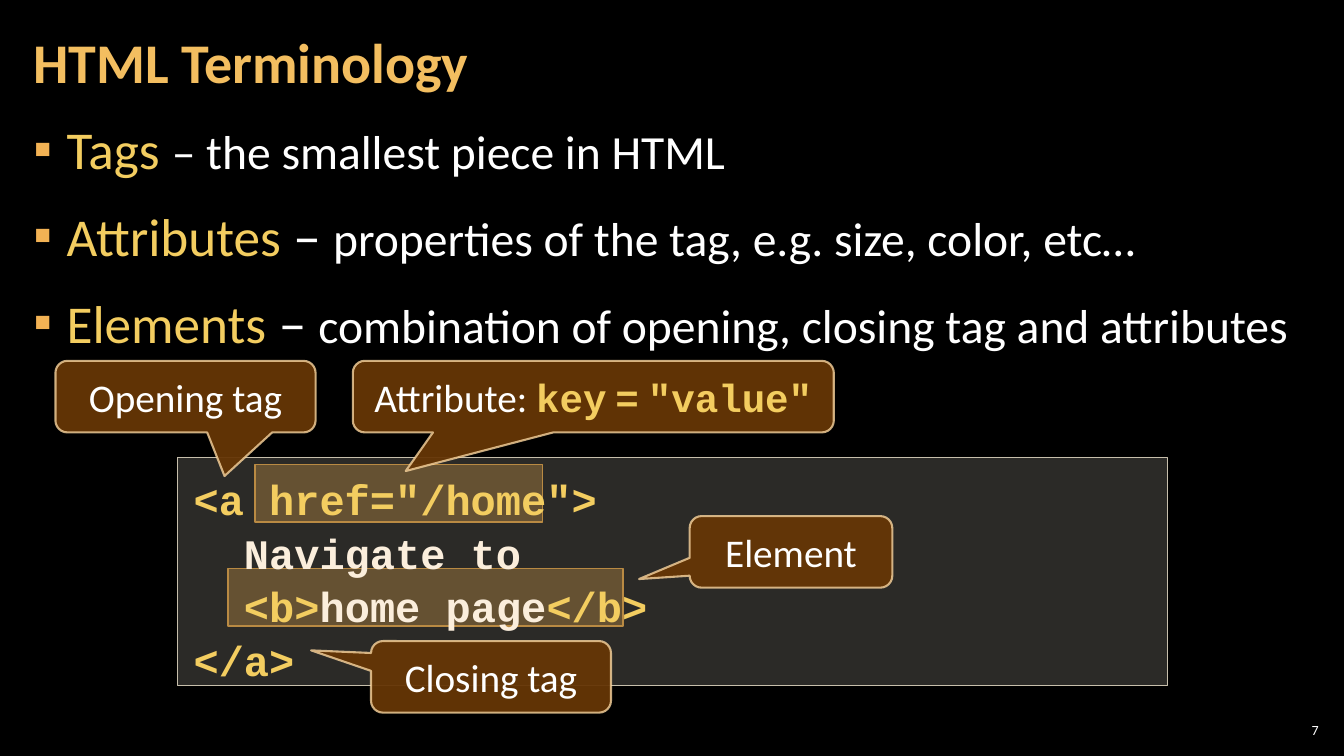
from lxml import etree
from pptx import Presentation
from pptx import util as u
from pptx.dml.color import RGBColor
from pptx.enum import shapes, text
from pptx.oxml import ns

SANS, MONO = "Calibri", "Courier New"
WHITE, GOLD, CREAM = "FFFFFF", "F3CD60", "FBEEDC"


def px(n):
    return u.Emu(n * 9144)


def rgb(value):
    return RGBColor.from_string(value)


def paint(fill, color, alpha=100):
    fill.solid()
    fill.fore_color.rgb = rgb(color)
    if alpha < 100:
        clr = fill._xPr.find(ns.qn("a:solidFill"))[0]
        etree.SubElement(clr, ns.qn("a:alpha")).set("val", str(alpha * 1000))


class Deck:
    """Holds the style and the current slide."""

    def __init__(self):
        self.prs = Presentation()
        self.prs.slide_width, self.prs.slide_height = px(1333), px(750)
        self.s = self.prs.slides.add_slide(self.prs.slide_layouts[1])
        paint(self.s.background.fill, "000000")

    def frame(self, sp, anchor, mx, my):
        tf = sp.text_frame
        tf.word_wrap = True
        tf.auto_size = text.MSO_AUTO_SIZE.NONE
        tf.vertical_anchor = anchor
        tf.margin_left = tf.margin_right = px(mx)
        tf.margin_top = tf.margin_bottom = px(my)
        return tf

    def place(self, sp, x, y, w, h):
        sp.left, sp.top, sp.width, sp.height = px(x), px(y), px(w), px(h)

    def line(self, p, runs, align=text.PP_ALIGN.LEFT, spacing=1.0):
        p.alignment, p.line_spacing = align, spacing
        for content, size, color, font, bold in runs:
            r = p.add_run()
            r.text = content
            r.font.size, r.font.name, r.font.bold = u.Pt(size), font, bold
            r.font.color.rgb = rgb(color)

    def lines(self, tf, rows, **style):
        for i, runs in enumerate(rows):
            p = tf.add_paragraph() if i else tf.paragraphs[0]
            self.line(p, runs, **style)

    def title(self, box, content):
        sp = self.s.shapes.title
        self.place(sp, *box)
        tf = self.frame(sp, text.MSO_ANCHOR.MIDDLE, 12, 4)
        self.lines(tf, [[(content, 40, "F3BE60", SANS, True)]], spacing=0.9)

    def bullets(self, box, rows):
        sp = self.s.placeholders[1]
        self.place(sp, *box)
        tf = self.frame(sp, text.MSO_ANCHOR.TOP, 12, 4)
        self.lines(tf, rows, spacing=1.05)
        for i, p in enumerate(tf.paragraphs):
            pPr = p._p.get_or_add_pPr()
            pPr.set("marL", str(px(33)))
            pPr.set("indent", str(px(-33)))
            clr = etree.SubElement(pPr, ns.qn("a:buClr"))
            etree.SubElement(clr, ns.qn("a:srgbClr")).set("val", "F2B254")
            etree.SubElement(pPr, ns.qn("a:buChar")).set("char", "▪")
            p.space_before, p.space_after = u.Pt(6 if i else 0), u.Pt(6)

    def label(self, box, runs):
        sp = self.s.shapes.add_textbox(*map(px, box))
        tf = self.frame(sp, text.MSO_ANCHOR.MIDDLE, 4, 4)
        self.lines(tf, [runs], align=text.PP_ALIGN.RIGHT)

    def shape(self, kind, box, fill, line, width=1.0):
        sp = self.s.shapes.add_shape(kind, *map(px, box))
        sp.shadow.inherit = False
        paint(sp.fill, *fill)
        paint(sp.line.fill, *line)
        sp.line.width = u.Pt(width)
        return sp

    def highlight(self, box):
        self.shape(shapes.MSO_SHAPE.RECTANGLE, box, ("F0A22E", 30), ("B27822",))

    def code(self, box, rows):
        sp = self.shape(shapes.MSO_SHAPE.RECTANGLE, box, ("D9D5C7", 20), ("C7BFAC",))
        tf = self.frame(sp, text.MSO_ANCHOR.TOP, 16, 12)
        styled = [[(t, 30, c, MONO, True) for t, c in row] for row in rows]
        self.lines(tf, styled, spacing=1.07)

    def callout(self, box, tip, runs):
        sp = self.shape(shapes.MSO_SHAPE.ROUNDED_RECTANGULAR_CALLOUT, box,
                        ("663606", 95), ("F8D49E", 80), 1.5)
        for i, value in enumerate(tip):
            sp.adjustments[i] = value
        tf = self.frame(sp, text.MSO_ANCHOR.MIDDLE, 10, 5)
        self.lines(tf, [runs], align=text.PP_ALIGN.CENTER)


def term(name, meaning):
    return [(name + " ", 38, GOLD, SANS, False), ("–", 40, WHITE, SANS, False),
            (" ", 38, GOLD, SANS, False), (meaning, 34, WHITE, SANS, False)]


def plain(content):
    return (content, 28, WHITE, SANS, False)


def key(content, font=MONO):
    return (content, 28, GOLD, font, True)


def main():
    d = Deck()
    d.title((21, 4, 1047, 121), "HTML Terminology")
    d.bullets((21, 108, 1291, 617), [
        [("Tags ", 38, GOLD, SANS, False),
         ("– the smallest piece in HTML", 34, WHITE, SANS, False)],
        term("Attributes", "properties of the tag, e.g. size, color, etc…"),
        term("Elements", "combination of opening, closing tag and attributes"),
    ])
    d.label((1265, 714, 47, 21), [("7", 10, WHITE, SANS, False)])
    d.highlight((253, 461, 285, 57))
    d.highlight((226, 564, 392, 57))
    d.code((176, 454, 982, 226), [
        [('<a href="/home">', GOLD)],
        [("  Navigate to", CREAM)],
        [("  <b>", GOLD), ("home page", CREAM), ("</b>", GOLD)],
        [("</a>", GOLD)],
    ])
    attribute = [plain("Attribute: "), key("key"), key(" ", SANS), key("="),
                 key(" ", SANS), key('"value"')]
    for x, y, w, tip, runs in [
        (55, 358, 258, (0.15, 1.11), [plain("Opening tag")]),
        (350, 358, 477, (-0.39, 1.04), attribute),
        (684, 512, 201, (-0.75, 0.38), [plain("Element")]),
        (368, 636, 238, (-0.75, -0.37), [plain("Closing tag")]),
    ]:
        d.callout((x, y, w, 71), tip, runs)
    d.prs.save("out.pptx")


if __name__ == "__main__":
    main()
